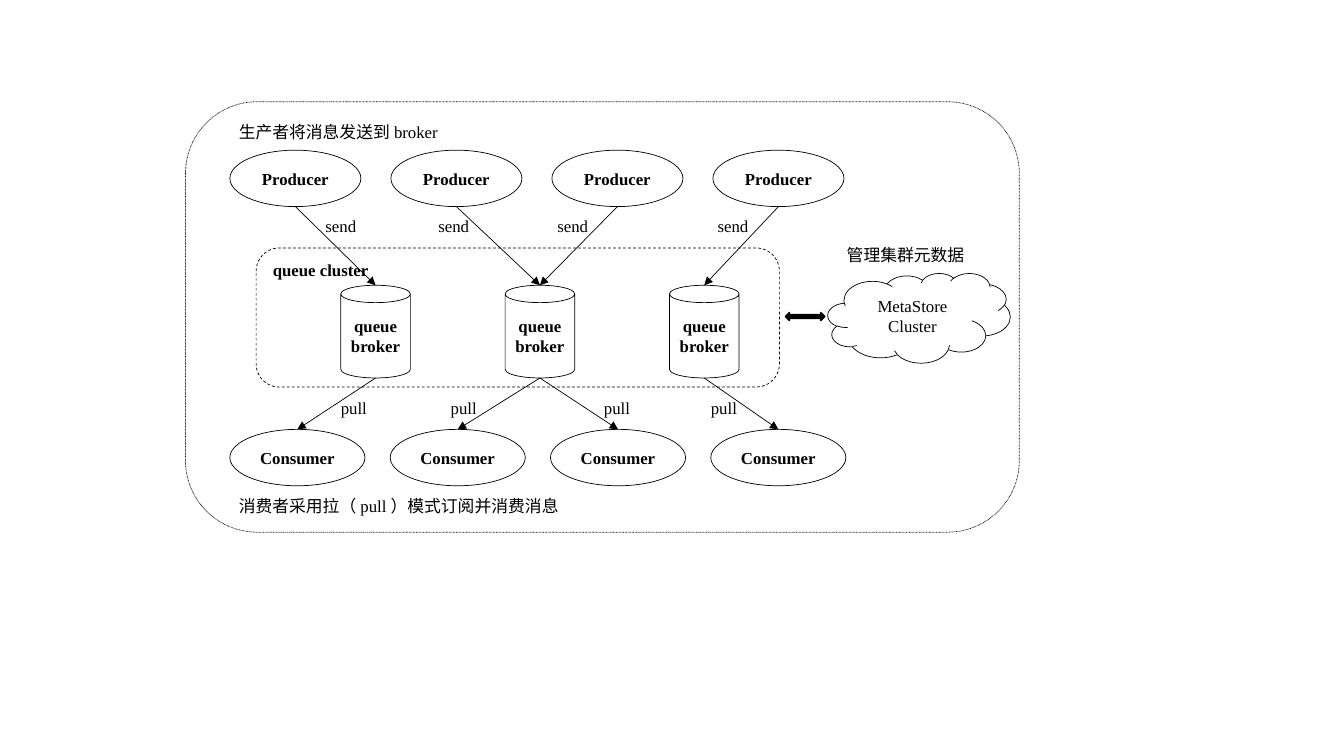
"""Build a slide of a message broker cluster with its producers and consumers."""
from lxml.etree import SubElement
from pptx import Presentation
from pptx.dml.color import RGBColor
from pptx.enum.dml import MSO_LINE
from pptx.enum.shapes import MSO_CONNECTOR, MSO_SHAPE
from pptx.enum.text import MSO_ANCHOR, MSO_AUTO_SIZE, PP_ALIGN
from pptx.oxml.ns import qn
from pptx.util import Inches, Pt

COLORS = {"ink": "000000", "paper": "FFFFFF"}
LATIN, CJK = "Times New Roman", "Noto Sans CJK SC"

BROKER_OF = [0, 1, 1, 2]
PRODUCERS = {"text": "Producer", "left": 2.28, "step": 1.597, "top": 1.49, "w": 1.3, "h": 0.56}
CONSUMERS = {"text": "Consumer", "left": 2.28, "step": 1.59, "top": 4.26, "w": 1.34, "h": 0.56}
BROKERS = {"text": "queue\nbroker", "left": 3.38, "step": 1.63, "top": 2.83, "w": 0.69, "h": 0.92}
ARROW_LABELS = [
    ("send", 2.09, [3.09, 4.21, 5.39, 6.98]),
    ("pull", 3.9, [3.22, 4.31, 5.83, 6.89]),
]
CAPTIONS = [
    (2.27, 1.16, 2.83, [("生产者将消息发送到", CJK), ("broker", LATIN)]),
    (2.27, 4.87, 3.85, [("消费者采用拉（", CJK), ("pull", LATIN),
                        ("）模式订阅", CJK), ("并消费消息", LATIN)]),
    (8.3, 2.38, 2.83, [("管理集群元数据", CJK)]),
]


def rgb(name):
    return RGBColor.from_string(COLORS[name])


def style(p, align, bold=False):
    p.alignment = align
    p.font.size, p.font.name, p.font.bold = Pt(12), LATIN, bold
    p.font.color.rgb = rgb("ink")


def add_node(s, kind, box, text="", fill=None, dash=None, bold=True,
             align=PP_ALIGN.CENTER, anchor=MSO_ANCHOR.MIDDLE, line=0.5):
    sp = s.shapes.add_shape(kind, *map(Inches, box))
    sp.shadow.inherit = False
    if fill:
        sp.fill.solid()
        sp.fill.fore_color.rgb = rgb(fill)
    else:
        sp.fill.background()
    sp.line.color.rgb, sp.line.width = rgb("ink"), Pt(line)
    if dash:
        sp.line.dash_style = dash
    tf = sp.text_frame
    tf.word_wrap, tf.vertical_anchor = True, anchor
    if kind == MSO_SHAPE.CAN:
        tf.margin_left = tf.margin_right = 0
    if text:
        tf.text = text
        for p in tf.paragraphs:
            style(p, align, bold)


def add_row(s, kind, row, count, fill=None):
    for i in range(count):
        box = (row["left"] + i * row["step"], row["top"], row["w"], row["h"])
        add_node(s, kind, box, row["text"], fill)


def center(row, i):
    return row["left"] + i * row["step"] + row["w"] / 2


def add_arrow(s, start, end):
    c = s.shapes.add_connector(MSO_CONNECTOR.STRAIGHT, *map(Inches, start + end))
    c.line.color.rgb, c.line.width = rgb("ink"), Pt(0.5)
    SubElement(c.line._get_or_add_ln(), qn("a:tailEnd"), type="triangle")
    SubElement(c._element.spPr, qn("a:effectLst"))


def add_text(s, left, top, width, runs, align=PP_ALIGN.LEFT):
    tf = s.shapes.add_textbox(*map(Inches, (left, top, width, 0.3))).text_frame
    tf.word_wrap, tf.auto_size = True, MSO_AUTO_SIZE.SHAPE_TO_FIT_TEXT
    p = tf.paragraphs[0]
    style(p, align)
    for text, font in runs:
        r = p.add_run()
        r.text = text
        r.font.name, r.font.size = font, Pt(12)
        r.font.color.rgb = rgb("ink")
        SubElement(r.font._element, qn("a:ea"), typeface=CJK)


def main():
    prs = Presentation()
    prs.slide_width, prs.slide_height = Inches(13.33), Inches(7.5)
    s = prs.slides.add_slide(prs.slide_layouts[6])

    add_row(s, MSO_SHAPE.OVAL, PRODUCERS, len(BROKER_OF))
    add_row(s, MSO_SHAPE.CAN, BROKERS, 3, "paper")
    add_node(s, MSO_SHAPE.ROUNDED_RECTANGLE, (2.54, 2.46, 5.19, 1.38), "queue cluster",
             dash=MSO_LINE.DASH, align=PP_ALIGN.LEFT, anchor=MSO_ANCHOR.TOP)
    add_row(s, MSO_SHAPE.OVAL, CONSUMERS, len(BROKER_OF))

    for i, b in enumerate(BROKER_OF):
        x = center(BROKERS, b)
        add_arrow(s, (center(PRODUCERS, i), PRODUCERS["top"] + PRODUCERS["h"]),
                  (x, BROKERS["top"]))
        add_arrow(s, (x, BROKERS["top"] + BROKERS["h"]),
                  (center(CONSUMERS, i), CONSUMERS["top"]))

    for text, top, lefts in ARROW_LABELS:
        for left in lefts:
            add_text(s, left, top, 0.58, [(text, LATIN)], PP_ALIGN.CENTER)
    for caption in CAPTIONS:
        add_text(s, *caption)

    add_node(s, MSO_SHAPE.CLOUD, (8.21, 2.71, 1.81, 0.89), "MetaStore\nCluster", bold=False)
    add_node(s, MSO_SHAPE.LEFT_RIGHT_ARROW, (7.79, 3.1, 0.39, 0.08), fill="ink", line=1)
    add_node(s, MSO_SHAPE.ROUNDED_RECTANGLE, (1.84, 1.01, 8.27, 4.27),
             dash=MSO_LINE.ROUND_DOT)
    prs.save("out.pptx")


if __name__ == "__main__":
    main()
